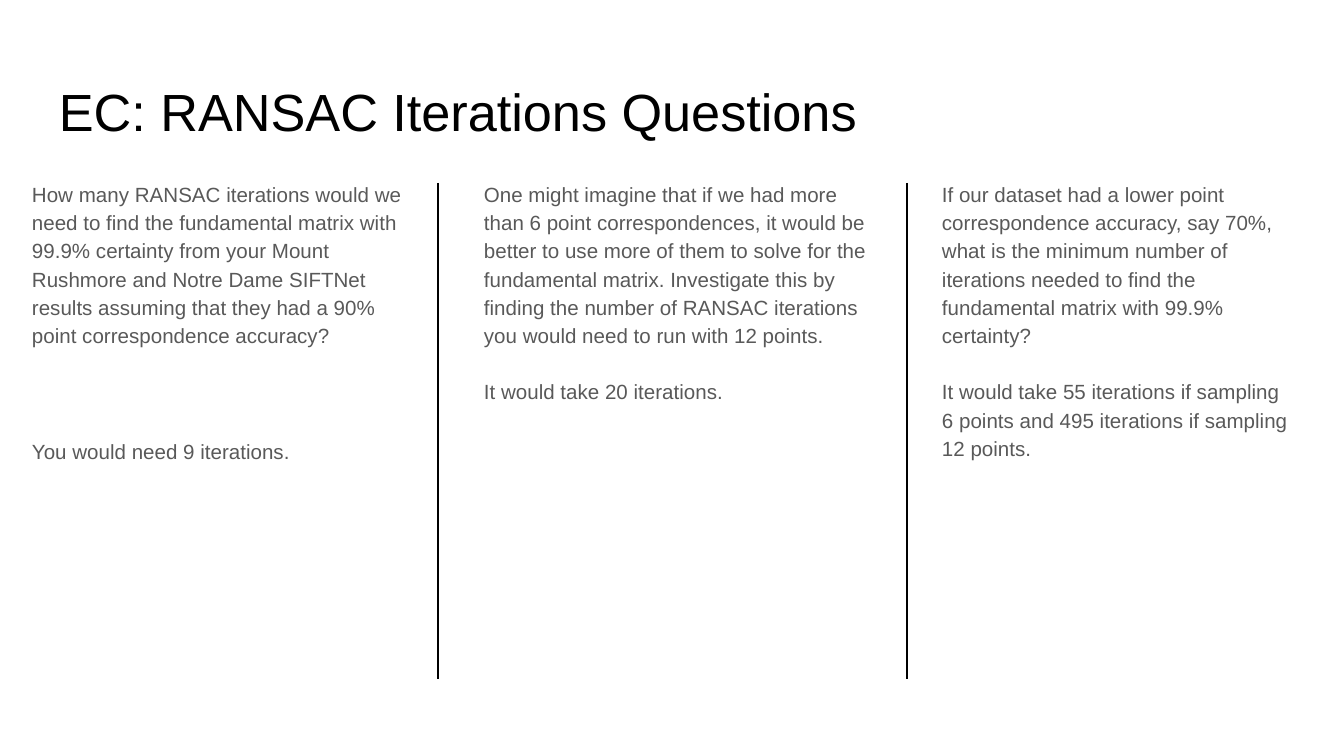
from dataclasses import dataclass

from lxml import etree
from pptx import Presentation
from pptx.dml.color import RGBColor
from pptx.enum.shapes import MSO_CONNECTOR
from pptx.enum.text import MSO_ANCHOR
from pptx.oxml.ns import qn
from pptx.slide import Slide
from pptx.text.text import TextFrame, _Paragraph
from pptx.util import Emu, Pt

STRAIGHT = MSO_CONNECTOR.STRAIGHT
TOP = MSO_ANCHOR.TOP

SLIDE_W, SLIDE_H = 1344, 756
EMU_PER_PX = 9144000 / SLIDE_W
COLORS = {"title": "000000", "body": "595959", "divider": "000000"}
FONT = "Arial"

COLUMN_TOP, COLUMN_HEIGHT = 165, 503
DIVIDER_TOP, DIVIDER_BOTTOM = 183, 679
DIVIDERS = (438, 907)
INSET, INDENT = 13, 19


@dataclass(frozen=True)
class Column:
    left: int
    width: int
    question: str
    answer: str
    answer_gap: int  # points between question and answer


COLUMNS = (
    Column(
        0, 421,
        "How many RANSAC iterations would we need to find the fundamental matrix "
        "with 99.9% certainty from your Mount Rushmore and Notre Dame SIFTNet "
        "results assuming that they had a 90% point correspondence accuracy?",
        "You would need 9 iterations.",
        47,
    ),
    Column(
        452, 434,
        "One might imagine that if we had more than 6 point correspondences, it "
        "would be better to use more of them to solve for the fundamental matrix. "
        "Investigate this by finding the number of RANSAC iterations you would "
        "need to run with 12 points.",
        "It would take 20 iterations.",
        15,
    ),
    Column(
        910, 398,
        "If our dataset had a lower point correspondence accuracy, say 70%, what "
        "is the minimum number of iterations needed to find the fundamental "
        "matrix with 99.9% certainty?",
        "It would take 55 iterations if sampling 6 points and 495 iterations if "
        "sampling 12 points.",
        15,
    ),
)


def px(length: int) -> Emu:
    return Emu(round(length * EMU_PER_PX))


def add_text_frame(slide: Slide, left: int, top: int, width: int, height: int) -> TextFrame:
    frame = slide.shapes.add_textbox(px(left), px(top), px(width), px(height)).text_frame
    frame.word_wrap = True
    frame.vertical_anchor = TOP
    frame.margin_left = frame.margin_right = px(INSET)
    frame.margin_top = frame.margin_bottom = px(INSET)
    return frame


def format_runs(paragraph: _Paragraph, size: int, color: str) -> None:
    for run in paragraph.runs:
        run.font.name = FONT
        run.font.size = Pt(size)
        run.font.color.rgb = RGBColor.from_string(COLORS[color])


def add_title(slide: Slide, title: str) -> None:
    frame = add_text_frame(slide, 46, 66, 1253, 85)
    frame.text = title
    format_runs(frame.paragraphs[0], 28, "title")


def add_column(slide: Slide, column: Column) -> None:
    frame = add_text_frame(slide, column.left, COLUMN_TOP, column.width, COLUMN_HEIGHT)
    frame.text = f"{column.question}\n{column.answer}"
    for paragraph in frame.paragraphs:
        paragraph.line_spacing = 1.15
        paragraph._p.get_or_add_pPr().set("marL", str(px(INDENT)))
        format_runs(paragraph, 11, "body")
    frame.paragraphs[1].space_before = Pt(column.answer_gap)


def add_divider(slide: Slide, x: int) -> None:
    divider = slide.shapes.add_connector(
        STRAIGHT, px(x), px(DIVIDER_TOP), px(x), px(DIVIDER_BOTTOM)
    )
    divider.line.color.rgb = RGBColor.from_string(COLORS["divider"])
    divider.line.width = Pt(0.75)
    etree.SubElement(divider._element.spPr, qn("a:effectLst"))


def main() -> None:
    presentation = Presentation()
    presentation.slide_width, presentation.slide_height = px(SLIDE_W), px(SLIDE_H)
    slide = presentation.slides.add_slide(presentation.slide_layouts[6])
    add_title(slide, "EC: RANSAC Iterations Questions")
    for column in COLUMNS:
        add_column(slide, column)
    for x in DIVIDERS:
        add_divider(slide, x)
    presentation.save("out.pptx")


if __name__ == "__main__":
    main()
